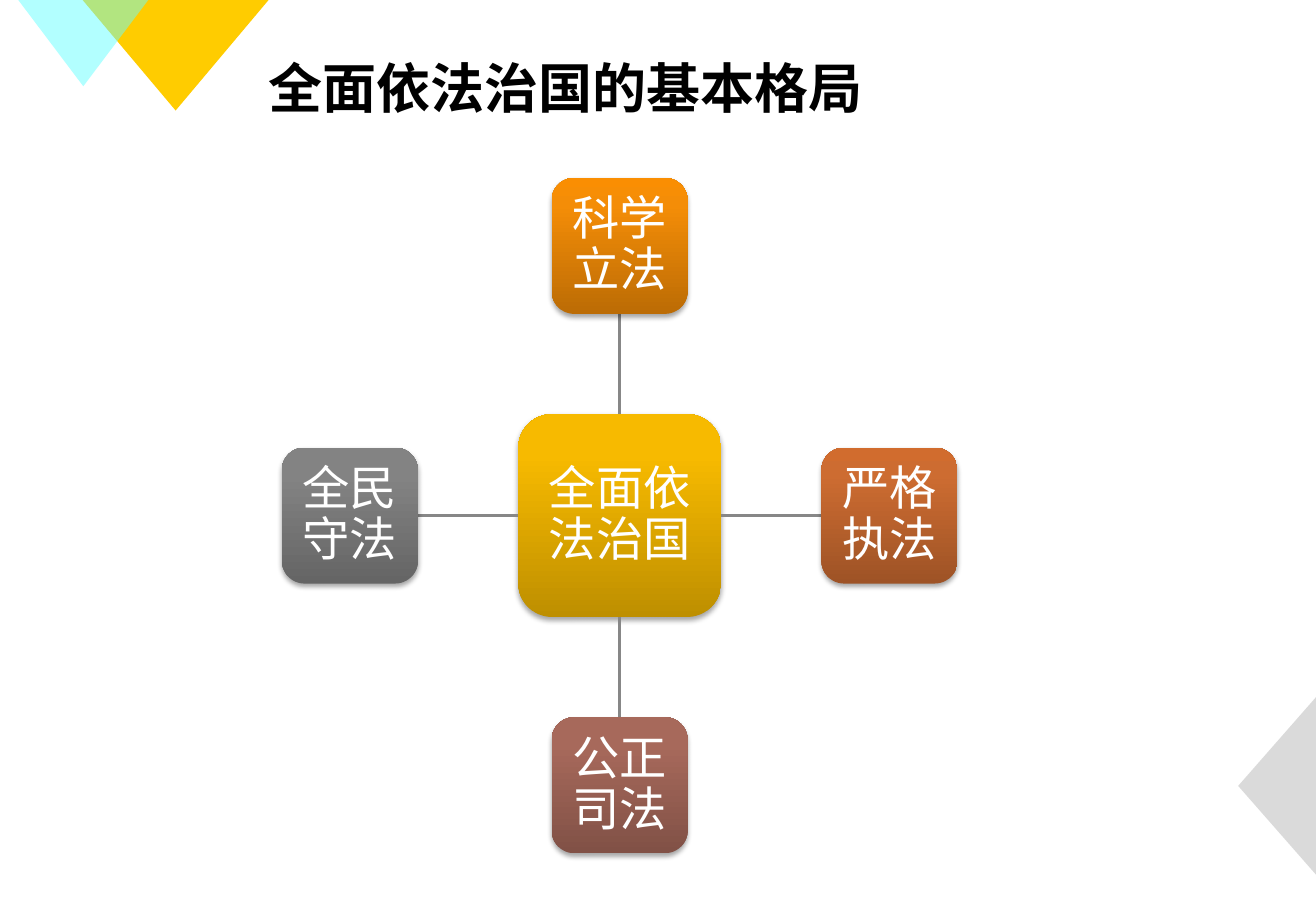
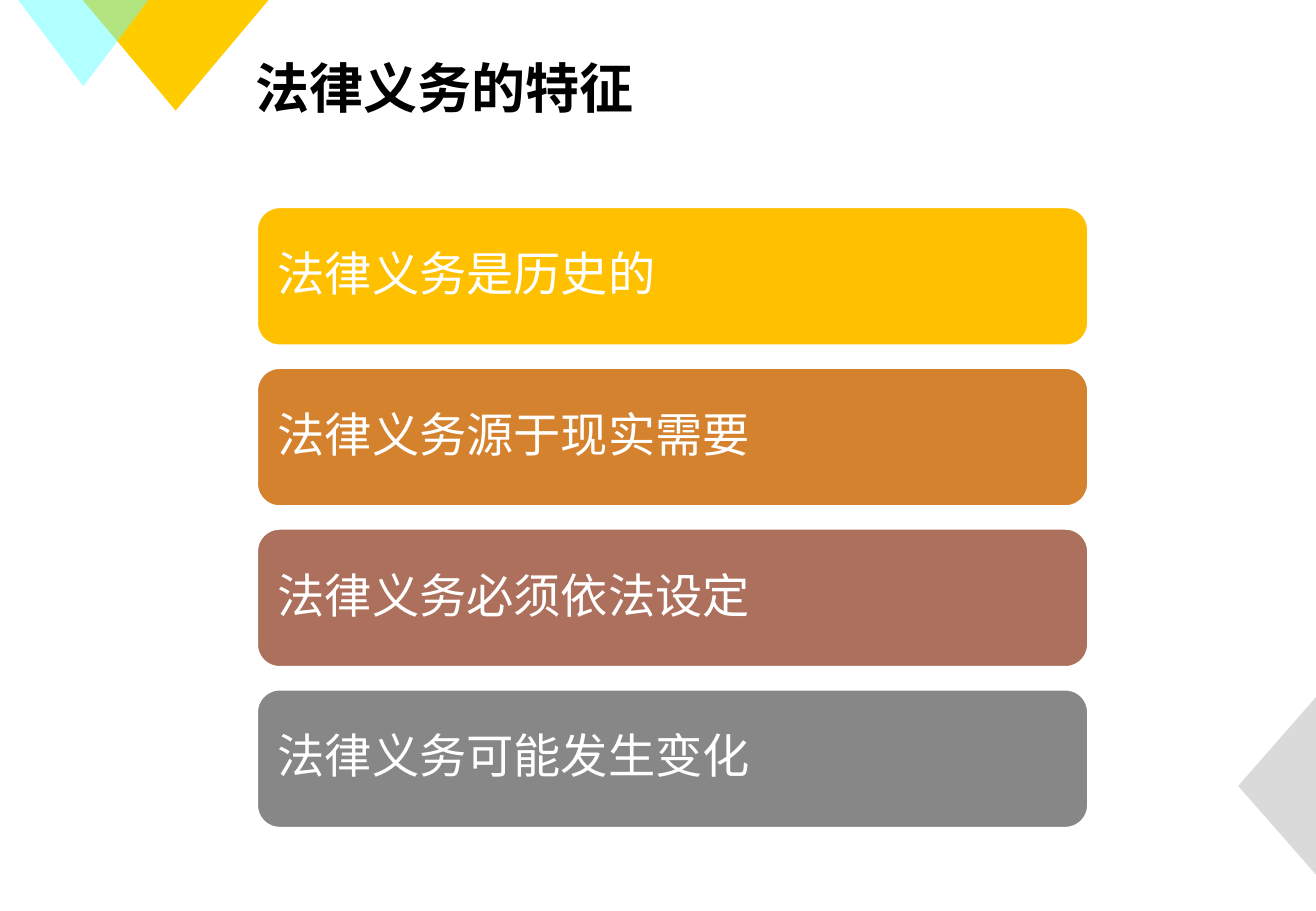
import pptx
import pptx.util
import pptx.dml.color
import pptx.enum.shapes
import pptx.enum.text
import pptx.oxml.ns
from lxml import etree

WIDTH = pptx.util.Inches(10.83)
HEIGHT = pptx.util.Inches(7.5)
FONT = "Noto Sans CJK SC"
SHAPE = pptx.enum.shapes.MSO_SHAPE
ALIGN = pptx.enum.text.PP_ALIGN
qn = pptx.oxml.ns.qn

COLORS = {
    "title": "000000",
    "white": "FFFFFF",
    "yellow": "FFCC00",
    "cyan": "66FFFF",
    "silver": "B7B7B7",
    "gold": "FFC000",
    "orange": "D5822F",
    "brown": "AD705C",
    "gray": "878787",
}

GRADIENTS = {
    "gold": ("BE8F00", "F7BA00", "F8BB00"),
    "orange": ("BC6C05", "F48D07", "FA8E02"),
    "rust": ("9E5326", "CD6C31", "D16C2E"),
    "brown": ("815146", "A7695B", "AA695A"),
    "gray": ("656565", "838383", "838383"),
}

CENTER_X = 0.4709 * WIDTH
CENTER_Y = 0.566 * HEIGHT
HUB = 0.1542 * WIDTH
NODE = 0.1034 * WIDTH
REACH = 0.205 * WIDTH

NODES = [
    ("科学立法", "orange", 0, -1),
    ("严格执法", "rust", 1, 0),
    ("公正司法", "brown", 0, 1),
    ("全民守法", "gray", -1, 0),
]

FEATURES = [
    ("法律义务是历史的", "gold"),
    ("法律义务源于现实需要", "orange"),
    ("法律义务必须依法设定", "brown"),
    ("法律义务可能发生变化", "gray"),
]


def across(percent):
    return int(WIDTH * percent / 100)


def down(percent):
    return int(HEIGHT * percent / 100)


def rgb(name):
    return pptx.dml.color.RGBColor.from_string(COLORS[name])


def add_alpha(parent, percent):
    etree.SubElement(parent, qn("a:alpha"), val=str(percent * 1000))


def write(sp, text, size, color, align, inset=None, bold=False):
    tf = sp.text_frame
    tf.word_wrap = True
    tf.vertical_anchor = pptx.enum.text.MSO_ANCHOR.MIDDLE
    if inset is not None:
        tf.margin_left = tf.margin_right = pptx.util.Inches(inset)
        tf.margin_top = tf.margin_bottom = pptx.util.Inches(inset)
    tf.text = text
    p = tf.paragraphs[0]
    p.alignment = align
    r = p.runs[0]
    r.font.size = pptx.util.Pt(size)
    r.font.bold = bold
    r.font.color.rgb = rgb(color)
    r.font.name = FONT
    r.font._element.find(qn("a:latin")).addnext(
        etree.Element(qn("a:ea"), typeface=FONT))
    return p


def add_shape(slide, kind, left, top, width, height):
    sp = slide.shapes.add_shape(kind, int(left), int(top), int(width), int(height))
    sp.shadow.inherit = False
    sp.line.fill.background()
    return sp


def add_triangle(slide, left, top, width, height, rotation, color, alpha=100):
    sp = add_shape(slide, SHAPE.ISOSCELES_TRIANGLE,
                   across(left), down(top), across(width), down(height))
    sp.rotation = rotation
    sp.fill.solid()
    sp.fill.fore_color.rgb = rgb(color)
    if alpha < 100:
        add_alpha(sp._element.spPr.find(".//" + qn("a:srgbClr")), alpha)


def add_slide(prs, title, title_left):
    slide = prs.slides.add_slide(prs.slide_layouts[6])
    add_triangle(slide, 6.28, 0, 14.13, 12.13, 180, "yellow")
    add_triangle(slide, 1.39, 0, 9.88, 9.47, 180, "cyan", 50)
    add_triangle(slide, 90.3, 82, 13.48, 8.53, 270, "silver", 50)
    sp = slide.shapes.add_textbox(
        across(title_left), down(4.8), across(71.93), down(9.47))
    write(sp, title, 32, "title", ALIGN.JUSTIFY, bold=True)
    return slide


def fill_gradient(sp, colors):
    sp.fill.gradient()
    sp.fill.gradient_angle = 90
    stops = sp._element.spPr.find(".//" + qn("a:gsLst"))
    for stop in list(stops):
        stops.remove(stop)
    for position, color in zip((0, 80, 100), colors):
        stop = etree.SubElement(stops, qn("a:gs"), pos=str(position * 1000))
        etree.SubElement(stop, qn("a:srgbClr"), val=color)


def cast_shadow(sp):
    effects = sp._element.spPr.find(qn("a:effectLst"))
    shadow = etree.SubElement(
        effects, qn("a:outerShdw"),
        blurRad=str(pptx.util.Pt(3.1)), dist=str(pptx.util.Pt(1.8)),
        dir="5400000", rotWithShape="0")
    add_alpha(etree.SubElement(shadow, qn("a:srgbClr"), val="000000"), 35)


def add_node(slide, text, gradient, x, y, side):
    sp = add_shape(slide, SHAPE.ROUNDED_RECTANGLE,
                   x - side / 2, y - side / 2, side, side)
    fill_gradient(sp, GRADIENTS[gradient])
    cast_shadow(sp)
    write(sp, text, 28, "white", ALIGN.CENTER, 0.08).line_spacing = 0.9


def add_spoke(slide, dx, dy):
    start, end = HUB / 2, REACH - NODE / 2
    line = slide.shapes.add_connector(
        pptx.enum.shapes.MSO_CONNECTOR.STRAIGHT,
        int(CENTER_X + dx * start), int(CENTER_Y + dy * start),
        int(CENTER_X + dx * end), int(CENTER_Y + dy * end))
    line.line.color.rgb = rgb("gray")
    line.line.width = pptx.util.Pt(2)
    etree.SubElement(line._element.spPr, qn("a:effectLst"))


def add_feature(slide, row, text, color):
    sp = add_shape(slide, SHAPE.ROUNDED_RECTANGLE, across(19.48),
                   down(22.67 + 17.65 * row), across(63.25), down(15.33))
    sp.fill.solid()
    sp.fill.fore_color.rgb = rgb(color)
    sp.line.color.rgb = rgb("white")
    sp.line.width = pptx.util.Pt(2)
    write(sp, text, 28, "white", ALIGN.LEFT, 0.12).line_spacing = 0.9


def main():
    prs = pptx.Presentation()
    prs.slide_width, prs.slide_height = WIDTH, HEIGHT

    slide = add_slide(prs, "全面依法治国的基本格局", 19.48)
    add_node(slide, "全面依法治国", "gold", CENTER_X, CENTER_Y, HUB)
    for text, gradient, dx, dy in NODES:
        add_spoke(slide, dx, dy)
        add_node(slide, text, gradient,
                 CENTER_X + dx * REACH, CENTER_Y + dy * REACH, NODE)

    slide = add_slide(prs, "法律义务的特征", 18.47)
    for row, (text, color) in enumerate(FEATURES):
        add_feature(slide, row, text, color)

    prs.save("out.pptx")


if __name__ == "__main__":
    main()
